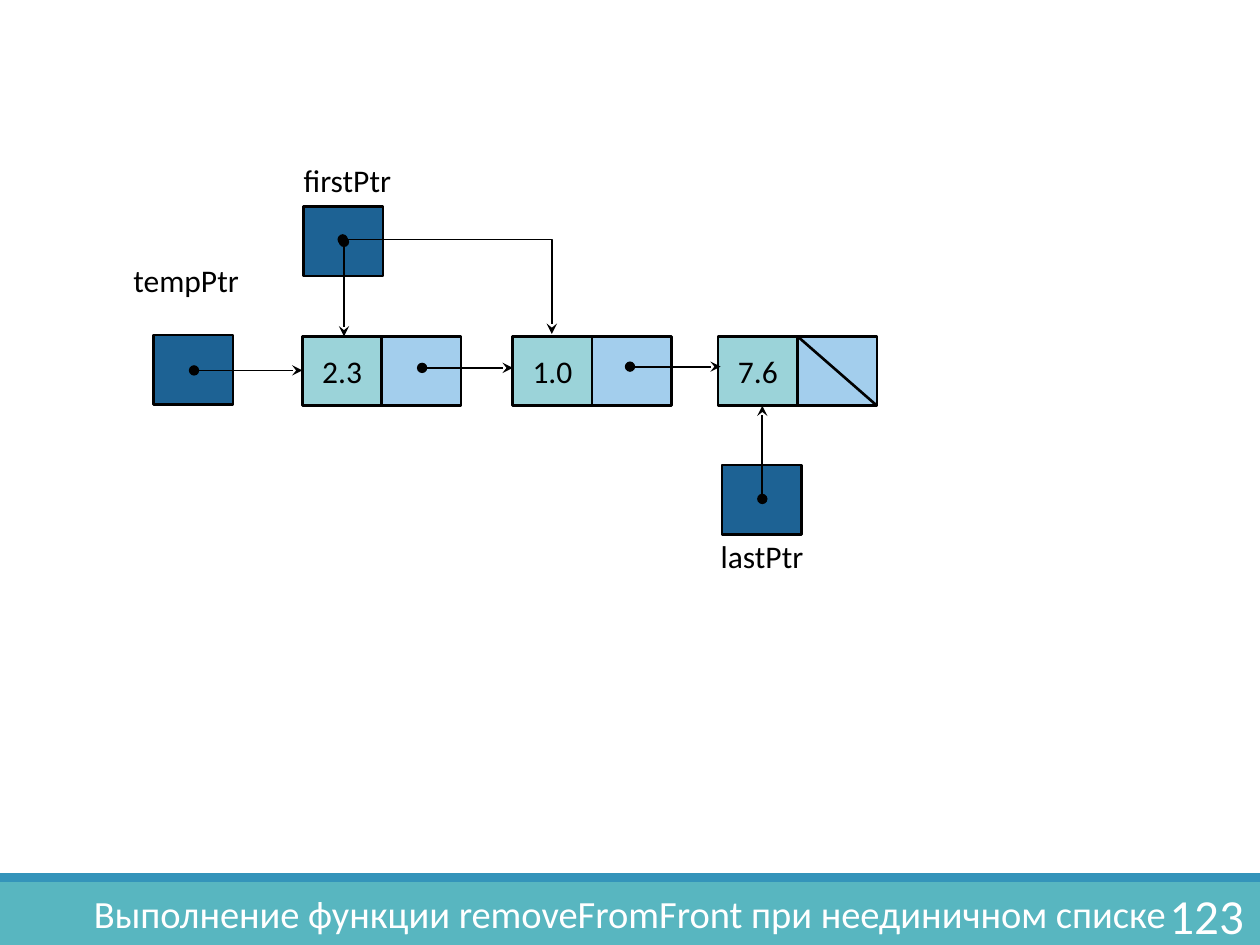
from dataclasses import dataclass

from lxml.etree import SubElement
from pptx import Presentation
from pptx.dml.color import RGBColor
from pptx.enum.shapes import MSO_CONNECTOR as Connector, MSO_SHAPE as Shape
from pptx.enum.text import MSO_ANCHOR as Anchor, PP_ALIGN as Align
from pptx.oxml.ns import qn
from pptx.util import Inches, Pt


@dataclass(frozen=True)
class Theme:
    font: str = "Calibri"
    black: str = "000000"
    white: str = "FFFFFF"
    band: str = "58B6C0"
    stripe: str = "3494BA"
    pointer: str = "1D6294"
    value: str = "9BD3D9"
    link: str = "A3CEED"
    label_size: float = 18
    title_size: float = 22
    number_size: float = 28
    outline: float = 1.5
    arrow: float = 1


@dataclass(frozen=True)
class Pointer:
    name: str
    left: float
    top: float
    label_left: float
    label_top: float


@dataclass(frozen=True)
class Node:
    value: str
    left: float


@dataclass(frozen=True)
class Arrow:
    start: tuple[float, float]
    end: tuple[float, float]
    bent: bool = False


THEME = Theme()
CELL_W, CELL_H = 0.63, 0.55
NODE_TOP = 2.67

POINTERS = [
    Pointer("firstPtr", 2.41, 1.64, 2.41, 1.15),
    Pointer("lastPtr", 5.73, 3.69, 5.72, 4.14),
    Pointer("tempPtr", 1.22, 2.66, 1.06, 1.95),
]
NODES = [Node("2.3", 2.4), Node("1.0", 4.07), Node("7.6", 5.7)]
ARROWS = [
    Arrow((6.05, 3.96), (6.05, 3.22)),
    Arrow((3.35, 2.92), (4.07, 2.92)),
    Arrow((2.73, 1.92), (2.73, 2.67)),
    Arrow((1.54, 2.94), (2.4, 2.94)),
    Arrow((5, 2.91), (5.72, 2.91)),
    Arrow((2.72, 1.9), (4.38, 2.65), bent=True),
]


def write(frame, text: str, size: float, color: str, align: Align,
          anchor: Anchor = Anchor.MIDDLE, inset: float = 0, wrap: bool = True) -> None:
    frame.text = text
    frame.word_wrap = wrap
    frame.vertical_anchor = anchor
    frame.margin_left = frame.margin_right = Inches(inset)
    frame.margin_top = frame.margin_bottom = Inches(inset / 2)
    paragraph = frame.paragraphs[0]
    paragraph.alignment = align
    font = paragraph.runs[0].font
    font.name, font.size = THEME.font, Pt(size)
    font.color.rgb = RGBColor.from_string(color)


def add_box(slide, left: float, top: float, width: float, height: float,
            fill: str, outlined: bool = False):
    box = slide.shapes.add_shape(
        Shape.RECTANGLE, Inches(left), Inches(top), Inches(width), Inches(height))
    box.shadow.inherit = False
    box.fill.solid()
    box.fill.fore_color.rgb = RGBColor.from_string(fill)
    if outlined:
        box.line.color.rgb = RGBColor.from_string(THEME.black)
        box.line.width = Pt(THEME.outline)
    else:
        box.line.fill.background()
    return box


def add_line(slide, start: tuple[float, float], end: tuple[float, float],
             width: float, bent: bool = False):
    kind = Connector.ELBOW if bent else Connector.STRAIGHT
    line = slide.shapes.add_connector(kind, *map(Inches, start + end))
    line.line.color.rgb = RGBColor.from_string(THEME.black)
    line.line.width = Pt(width)
    properties = line._element.spPr
    SubElement(properties, qn("a:effectLst"))
    if bent:
        properties.find(qn("a:prstGeom")).set("prst", "bentConnector2")
    return line


def add_arrow(slide, arrow: Arrow) -> None:
    """Draw a pointer arrow with a dot at its start."""
    line = add_line(slide, arrow.start, arrow.end, THEME.arrow, arrow.bent)
    outline = line.line._get_or_add_ln()
    SubElement(outline, qn("a:headEnd"), type="oval")
    SubElement(outline, qn("a:tailEnd"), type="stealth")


def add_pointer(slide, pointer: Pointer) -> None:
    add_box(slide, pointer.left, pointer.top, CELL_W, CELL_H, THEME.pointer, outlined=True)
    label = slide.shapes.add_textbox(
        Inches(pointer.label_left), Inches(pointer.label_top), Inches(0.86), Inches(CELL_H))
    write(label.text_frame, pointer.name, THEME.label_size, THEME.black,
          Align.LEFT, wrap=False)


def add_node(slide, node: Node) -> None:
    """Draw a list node: a value cell followed by a link cell."""
    cell = add_box(slide, node.left, NODE_TOP, CELL_W, CELL_H, THEME.value, outlined=True)
    write(cell.text_frame, node.value, THEME.label_size, THEME.black, Align.CENTER)
    add_box(slide, node.left + CELL_W, NODE_TOP, CELL_W, CELL_H, THEME.link, outlined=True)


def add_footer(slide) -> None:
    """Draw the bottom band with the title and slide number on it."""
    add_box(slide, 0, 7, 10, 0.5, THEME.band)
    add_box(slide, 0, 6.93, 10, 0.07, THEME.stripe)
    title = slide.shapes.title
    title.left, title.top, title.width, title.height = map(Inches, (0, 7.06, 10, 0.37))
    write(title.text_frame, "Выполнение функции removeFromFront при неединичном списке",
          THEME.title_size, THEME.white, Align.CENTER, Anchor.TOP)
    slide.shapes._spTree.append(title._element)  # bring in front of the band
    number = slide.shapes.add_textbox(*map(Inches, (8.89, 7.06, 1.08, 0.4)))
    write(number.text_frame, "123", THEME.number_size, THEME.white, Align.RIGHT, inset=0.1)


def main() -> None:
    deck = Presentation()
    deck.slide_width, deck.slide_height = Inches(10), Inches(7.5)
    slide = deck.slides.add_slide(deck.slide_layouts[5])
    add_footer(slide)
    for pointer in POINTERS:
        add_pointer(slide, pointer)
    for node in NODES:
        add_node(slide, node)
    null_left = NODES[-1].left + CELL_W
    add_line(slide, (null_left, NODE_TOP), (null_left + CELL_W, NODE_TOP + CELL_H),
             THEME.outline)
    for arrow in ARROWS:
        add_arrow(slide, arrow)
    deck.save("out.pptx")


if __name__ == "__main__":
    main()
